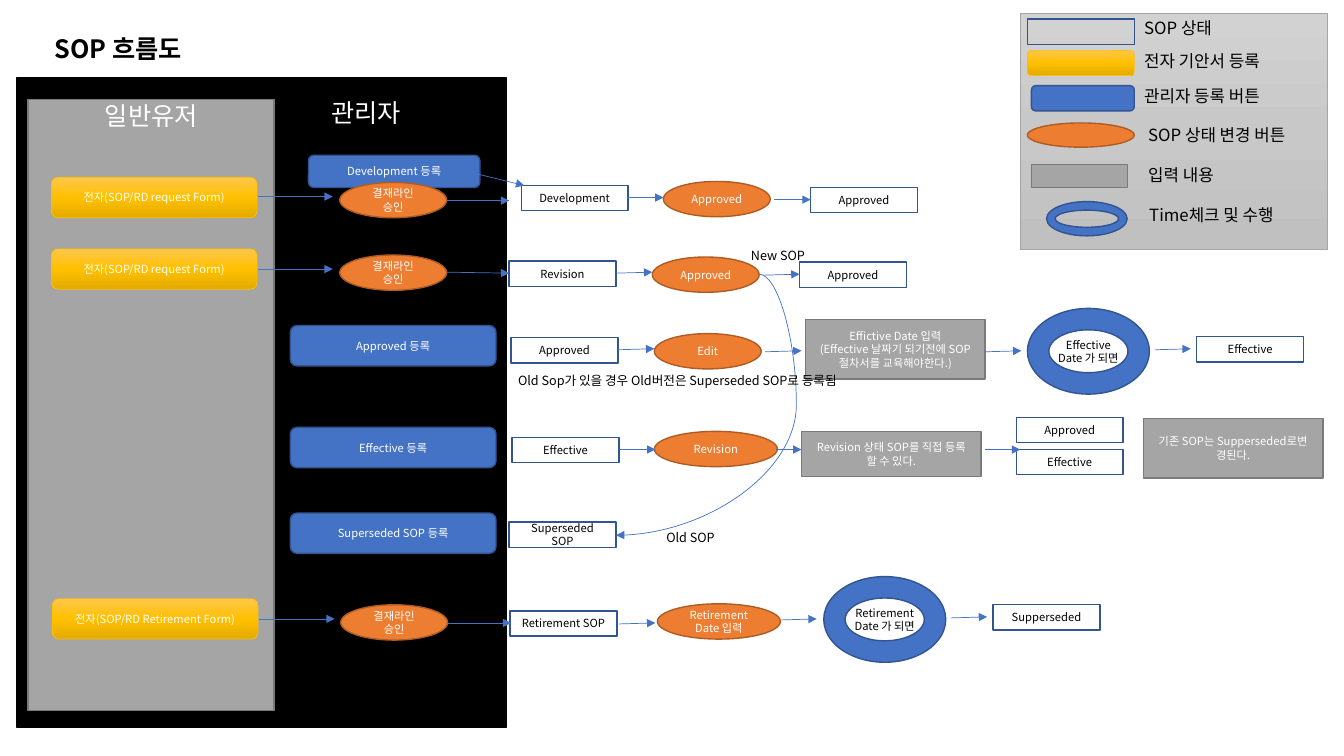
from copy import deepcopy

from lxml.etree import SubElement
from pptx import Presentation
from pptx.dml.color import RGBColor
from pptx.enum.shapes import MSO_CONNECTOR, MSO_SHAPE
from pptx.enum.text import MSO_ANCHOR, MSO_AUTO_SIZE, PP_ALIGN
from pptx.oxml.ns import qn
from pptx.util import Inches, Pt

FONT = "Noto Sans CJK KR"
BLACK, WHITE, BLUE, NAVY = "000000", "FFFFFF", "4472C4", "325491"
GREY, DARK_GREY = "A5A5A5", "7A7A7A"
GOLD = ("FFC64B", "FFC000", "E3AB00")
SILVER = ("D2D2D2", "C8C8C8", "C0C0C0")

STYLES = {
    "legend": (MSO_SHAPE.RECTANGLE, SILVER, GREY, 0.5, BLACK, (3.05, 2.34)),
    "admin panel": (MSO_SHAPE.RECTANGLE, BLACK, BLACK, 1, WHITE, (4.85, 6.45)),
    "user panel": (MSO_SHAPE.RECTANGLE, GREY, DARK_GREY, 1, WHITE, (2.44, 6.06)),
    "status": (MSO_SHAPE.RECTANGLE, None, NAVY, 1, BLACK, (1.06, 0.25)),
    "form": (MSO_SHAPE.ROUNDED_RECTANGLE, GOLD, "FFC000", 0.5, WHITE, (2.04, 0.4)),
    "admin": (MSO_SHAPE.ROUNDED_RECTANGLE, BLUE, NAVY, 1, WHITE, (2.04, 0.4)),
    "change": (MSO_SHAPE.OVAL, "ED7D31", "AF5C24", 1, WHITE, (1.06, 0.35)),
    "input": (MSO_SHAPE.FLOWCHART_PROCESS, GREY, DARK_GREY, 1, WHITE, (1.78, 0.59)),
    "timer": (MSO_SHAPE.DONUT, BLUE, NAVY, 1, BLACK, (1.21, 0.85)),
}

NODES = [
    ("admin", 3.06, 1.54, "Development 등록", (1.7, 0.32)),
    ("form", 0.51, 1.76, "전자(SOP/RD request Form)"),
    ("change", 3.37, 1.81, "결재라인 승인"),
    ("status", 5.17, 1.84, "Development"),
    ("change", 6.58, 1.8, "Approved"),
    ("status", 8.04, 1.86, "Approved"),
    ("form", 0.51, 2.47, "전자(SOP/RD request Form)"),
    ("change", 3.37, 2.53, "결재라인 승인"),
    ("status", 5.05, 2.59, "Revision"),
    ("change", 6.47, 2.55, "Approved"),
    ("status", 7.93, 2.6, "Approved"),
    ("admin", 2.88, 3.23, "Approved 등록"),
    ("status", 5.07, 3.35, "Approved"),
    ("change", 6.49, 3.31, "Edit"),
    ("input", 7.99, 3.17,
     "Effictive Date 입력\n(Effective 날짜기 되기전에 SOP절차서를 교육해야한다.)"),
    ("timer", 10.19, 3.06, "Effective Date 가 되면"),
    ("status", 11.87, 3.34, "Effective"),
    ("admin", 2.88, 4.24, "Effective 등록"),
    ("status", 5.08, 4.34, "Effective"),
    ("change", 6.49, 4.28, "Revision", (1.22, 0.35)),
    ("input", 7.95, 4.28, "Revision 상태 SOP를 직접 등록 할 수 있다.", (1.78, 0.45)),
    ("status", 10.08, 4.14, "Approved"),
    ("status", 10.08, 4.46, "Effective"),
    ("input", 11.34, 4.15, "기존 SOP는 Supperseded로변 경된다."),
    ("admin", 2.88, 5.09, "Superseded SOP 등록"),
    ("status", 5.05, 5.18, "Superseded SOP"),
    ("form", 0.52, 5.94, "전자(SOP/RD Retirement Form)"),
    ("change", 3.38, 6, "결재라인 승인"),
    ("status", 5.06, 6.06, "Retirement SOP"),
    ("change", 6.52, 5.99, "Retirement Date 입력", (1.22, 0.35)),
    ("timer", 8.17, 5.72, "Retirement Date 가 되면"),
    ("status", 9.85, 6, "Supperseded"),
]

ARROWS = [
    (4.75, 1.73, 5.2, 1.84),
    (2.56, 1.95, 3.3, 1.95), (4.43, 1.99, 5.05, 1.99),
    (6.22, 1.96, 6.58, 1.96), (7.68, 1.98, 8.04, 1.98),
    (2.56, 2.67, 3.3, 2.67), (4.43, 2.7, 5.05, 2.71),
    (6.11, 2.71, 6.47, 2.7), (7.57, 2.73, 7.93, 2.72),
    (6.13, 3.47, 6.49, 3.46), (7.59, 3.49, 7.95, 3.48),
    (9.78, 3.49, 10.13, 3.48), (11.46, 3.47, 11.81, 3.46),
    (6.14, 4.46, 6.5, 4.46), (7.7, 4.46, 7.95, 4.46), (9.77, 4.46, 10.12, 4.46),
    (2.57, 6.14, 3.32, 6.14), (4.44, 6.18, 5.07, 6.18),
    (6.14, 6.19, 6.5, 6.18), (7.75, 6.15, 8.1, 6.14), (9.43, 6.13, 9.79, 6.12),
]

LEGEND = [
    ("status", 10.19, 0.19, (1.06, 0.25), "SOP 상태", 11.25, 0.13),
    ("form", 10.19, 0.5, (1.06, 0.25), "전자 기안서 등록", 11.25, 0.45),
    ("admin", 10.23, 0.85, (1.02, 0.25), "관리자 등록 버튼", 11.25, 0.8),
    ("change", 10.19, 1.22, (1.06, 0.24), "SOP 상태 변경 버튼", 11.29, 1.19),
    ("input", 10.23, 1.63, (0.95, 0.23), "입력 내용", 11.29, 1.59),
    ("timer", 10.38, 2, (0.8, 0.34), "Time체크 및 수행", 11.3, 1.98),
]

NOTES = [
    ("New SOP", 7.35, 2.41, 0.74),
    ("Old Sop가 있을 경우 Old버전은 Superseded SOP로 등록됨", 5.04, 3.65, 3.56),
    ("Old SOP", 6.51, 5.21, 0.69),
]


def rgb(value):
    """Turn a hex string into a colour."""
    return RGBColor.from_string(value)


class FlowSlide:
    """Draw the elements of the flow chart on one slide."""

    def __init__(self, presentation):
        """Add a title-only slide."""
        self.slide = presentation.slides.add_slide(presentation.slide_layouts[5])

    def set_text(self, text_frame, text, size, color, alignment, bold=False):
        """Fill a text frame and format its paragraphs."""
        text_frame.text = text
        for paragraph in text_frame.paragraphs:
            paragraph.alignment = alignment
            font = paragraph.font
            font.name, font.size, font.bold = FONT, Pt(size), bold
            font.color.rgb = rgb(color)
            properties = paragraph._p.pPr.find(qn("a:defRPr"))
            SubElement(properties, qn("a:ea"), typeface=FONT)

    def title(self, text, left, top, width, height):
        """Place and format the title."""
        title = self.slide.shapes.title
        title.left, title.top = Inches(left), Inches(top)
        title.width, title.height = Inches(width), Inches(height)
        self.set_text(title.text_frame, text, 18, BLACK, PP_ALIGN.LEFT, True)
        title.text_frame.auto_size = MSO_AUTO_SIZE.NONE
        title.text_frame.vertical_anchor = MSO_ANCHOR.TOP

    def gradient(self, shape, colors):
        """Fill a shape from top to bottom with three colours."""
        shape.fill.gradient()
        shape.fill.gradient_angle = 270
        stop_list = shape._element.spPr.find(qn("a:gradFill")).find(qn("a:gsLst"))
        stop_list.insert(1, deepcopy(stop_list[0]))
        for index, (stop, color) in enumerate(zip(shape.fill.gradient_stops, colors)):
            stop.position = index / 2
            stop.color.rgb = rgb(color)

    def node(self, kind, left, top, text="", size=None):
        """Add a shape of a named kind with small centred text."""
        preset, fill, line, line_width, text_color, usual_size = STYLES[kind]
        width, height = size or usual_size
        shape = self.slide.shapes.add_shape(
            preset, Inches(left), Inches(top), Inches(width), Inches(height))
        shape.shadow.inherit = False
        if fill is None:
            shape.fill.background()
        elif isinstance(fill, tuple):
            self.gradient(shape, fill)
        else:
            shape.fill.solid()
            shape.fill.fore_color.rgb = rgb(fill)
        shape.line.color.rgb = rgb(line)
        shape.line.width = Pt(line_width)
        if text:
            self.set_text(shape.text_frame, text, 8, text_color, PP_ALIGN.CENTER)
            shape.text_frame.vertical_anchor = MSO_ANCHOR.MIDDLE
        return shape

    def panel(self, kind, left, top, heading, margin_left, margin_top):
        """Add a lane with its heading at the top."""
        text_frame = self.node(kind, left, top).text_frame
        self.set_text(text_frame, heading, 18, WHITE, PP_ALIGN.CENTER)
        text_frame.vertical_anchor = MSO_ANCHOR.TOP
        text_frame.margin_left = Inches(margin_left)
        text_frame.margin_top = Inches(margin_top)

    def label(self, text, left, top, width, height, size):
        """Add a line of free text."""
        box = self.slide.shapes.add_textbox(
            Inches(left), Inches(top), Inches(width), Inches(height))
        box.text_frame.word_wrap = False
        self.set_text(box.text_frame, text, size, BLACK, PP_ALIGN.LEFT)

    def arrow(self, x1, y1, x2, y2, kind=MSO_CONNECTOR.STRAIGHT):
        """Add a thin connector with an arrowhead at its end."""
        connector = self.slide.shapes.add_connector(
            kind, Inches(x1), Inches(y1), Inches(x2), Inches(y2))
        connector.line.color.rgb = rgb(BLUE)
        connector.line.width = Pt(0.5)
        SubElement(connector.line._get_or_add_ln(), qn("a:tailEnd"), type="triangle")
        SubElement(connector._element.spPr, qn("a:effectLst"))
        return connector

    def curve(self, x1, y1, x2, y2, bend):
        """Add a curved arrow whose bend is a share of its width."""
        connector = self.arrow(x1, y1, x2, y2, MSO_CONNECTOR.CURVE)
        geometry = connector._element.spPr.find(qn("a:prstGeom"))
        guides = geometry.find(qn("a:avLst"))
        SubElement(guides, qn("a:gd"), name="adj1", fmla=f"val {round(bend * 100000)}")


def main():
    """Build and save the slide."""
    presentation = Presentation()
    presentation.slide_width, presentation.slide_height = Inches(13.33), Inches(7.5)
    flow = FlowSlide(presentation)
    flow.title("SOP 흐름도", 0.44, 0.28, 9.5, 0.4)
    flow.node("legend", 10.12, 0.13)
    flow.panel("admin panel", 0.17, 0.77, "관리자", 2.17, 0.2)
    flow.panel("user panel", 0.28, 0.99, "일반유저", 0.1, 0.01)
    for node in NODES:
        flow.node(*node)
    for arrow in ARROWS:
        flow.arrow(*arrow)
    flow.curve(7.53, 2.72, 6.11, 5.31, -0.26)
    for kind, left, top, size, text, text_left, text_top in LEGEND:
        flow.node(kind, left, top, size=size)
        flow.label(text, text_left, text_top, 1.7, 0.3, 12)
    for text, left, top, width in NOTES:
        flow.label(text, left, top, width, 0.25, 9)
    presentation.save("out.pptx")


if __name__ == "__main__":
    main()
